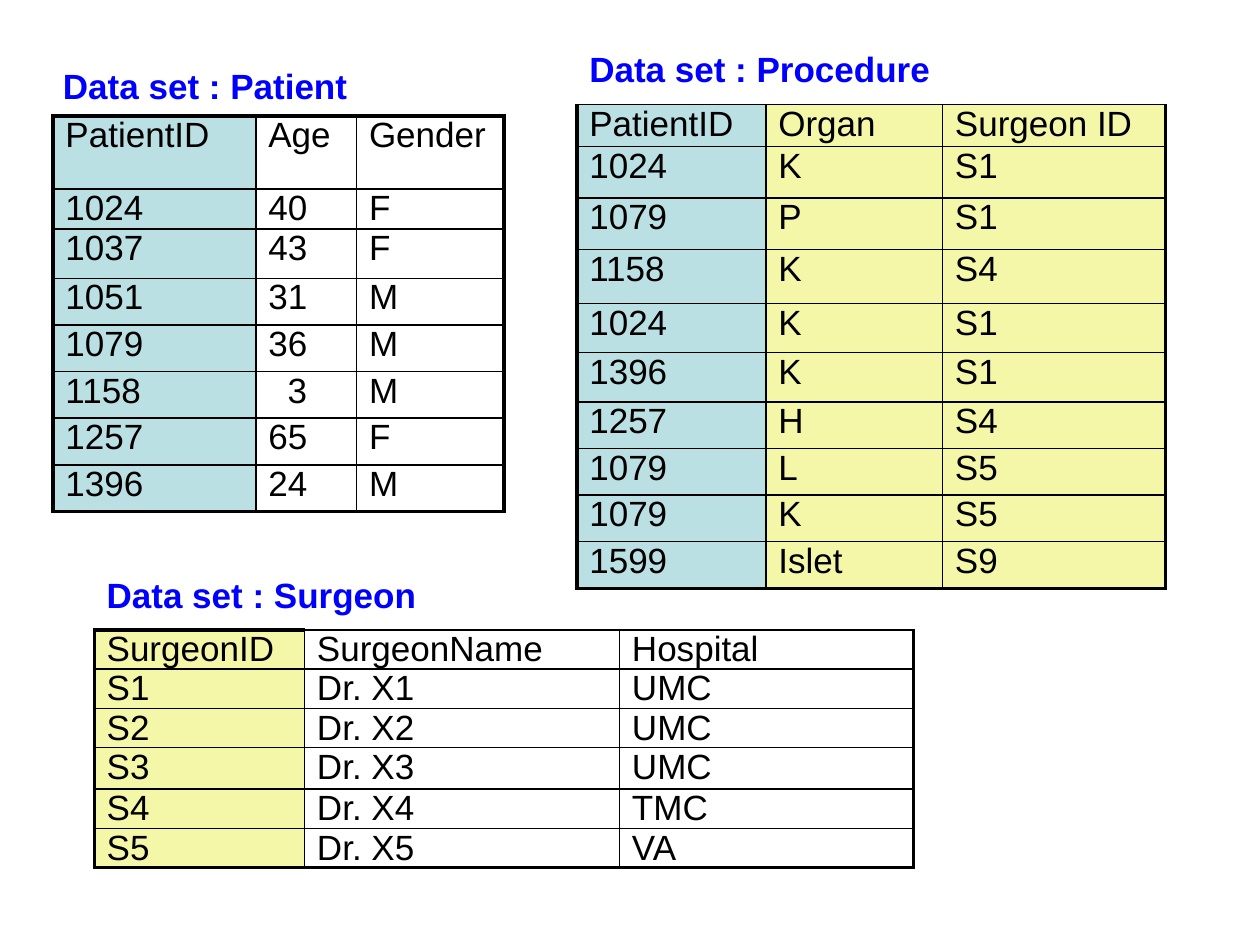
"""Build a slide with three related data set tables and their captions."""
from lxml import etree
from pptx import Presentation
from pptx.dml.color import RGBColor
from pptx.enum.text import MSO_AUTO_SIZE
from pptx.oxml.ns import qn
from pptx.util import Cm, Pt

FIT_SHAPE = MSO_AUTO_SIZE.SHAPE_TO_FIT_TEXT
BLACK, BLUE, TEAL, YELLOW = "000000", "0000FF", "BBE0E3", "F4F6A8"
THIN, THICK = 1, 2.25

PATIENTS = [
    ("PatientID", "Age", "Gender"),
    ("1024", "40", "F"),
    ("1037", "43", "F"),
    ("1051", "31", "M"),
    ("1079", "36", "M"),
    ("1158", "3", "M"),
    ("1257", "65", "F"),
    ("1396", "24", "M"),
]
PROCEDURES = [
    ("PatientID", "Organ", "Surgeon ID"),
    ("1024", "K", "S1"),
    ("1079", "P", "S1"),
    ("1158", "K", "S4"),
    ("1024", "K", "S1"),
    ("1396", "K", "S1"),
    ("1257", "H", "S4"),
    ("1079", "L", "S5"),
    ("1079", "K", "S5"),
    ("1599", "Islet", "S9"),
]
SURGEONS = [
    ("SurgeonID", "SurgeonName", "Hospital"),
    ("S1", "Dr. X1", "UMC"),
    ("S2", "Dr. X2", "UMC"),
    ("S3", "Dr. X3", "UMC"),
    ("S4", "Dr. X4", "TMC"),
    ("S5", "Dr. X5", "VA"),
]


def color(value):
    return RGBColor.from_string(value)


def write(frame, text, size=20, fill=BLACK, bold=False, font="Arial"):
    span = frame.paragraphs[0].add_run()
    span.text = text
    span.font.name = font
    span.font.size = Pt(size)
    span.font.bold = bold
    span.font.color.rgb = color(fill)


def set_borders(cell, widths):
    properties = cell._tc.get_or_add_tcPr()
    for index, (side, width) in enumerate(zip("LRTB", widths)):
        line = etree.Element(qn(f"a:ln{side}"), w=str(Pt(width)))
        solid = etree.SubElement(line, qn("a:solidFill"))
        etree.SubElement(solid, qn("a:srgbClr"), val=BLACK)
        properties.insert(index, line)


class DataSetPage:
    """Hold the style and the current slide."""

    def __init__(self, deck):
        self.page = deck.slides.add_slide(deck.slide_layouts[6])

    def caption(self, name, left, top, width):
        box = self.page.shapes.add_textbox(Cm(left), Cm(top), Cm(width), Cm(1.12))
        box.text_frame.word_wrap = False
        box.text_frame.auto_size = FIT_SHAPE
        write(box.text_frame, f"Data set : {name}", fill=BLUE, bold=True)

    def table(self, records, left, top, widths, heights, fills, thick_tops=0, indents=None):
        shape = self.page.shapes.add_table(
            len(records), len(widths), Cm(left), Cm(top), Cm(sum(widths)), Cm(sum(heights))
        )
        grid = shape.table
        grid.first_row = grid.horz_banding = False
        for column, width in zip(grid.columns, widths):
            column.width = Cm(width)
        for row, height in zip(grid.rows, heights):
            row.height = Cm(height)
        for r, record in enumerate(records):
            for c, text in enumerate(record):
                cell = grid.cell(r, c)
                indent = (indents or {}).get((r, c), 0)
                cell.margin_left, cell.margin_right = Cm(0.25 + indent), Cm(0.25)
                cell.margin_top = cell.margin_bottom = 0
                write(cell.text_frame, text)
                if fills[c]:
                    cell.fill.solid()
                    cell.fill.fore_color.rgb = color(fills[c])
                else:
                    cell.fill.background()
                thick = (
                    c == 0,
                    c == len(widths) - 1,
                    r == 0 and c < thick_tops,
                    r == len(records) - 1,
                )
                set_borders(cell, [THICK if edge else THIN for edge in thick])


def main():
    deck = Presentation()
    deck.slide_width, deck.slide_height = Cm(25.4), Cm(19.05)
    page = DataSetPage(deck)

    page.table(PROCEDURES, 11.63, 2.11, [3.81, 3.56, 4.5],
               [0.84, 1.04, 1.04, 1.09, 0.99, 0.99] + [0.94] * 4,
               [TEAL, YELLOW, YELLOW])
    page.table(PATIENTS, 1.07, 2.34, [4.09, 2.03, 2.97],
               [1.47, 0.81, 0.99] + [0.94] * 5,
               [TEAL, None, None], thick_tops=3, indents={(5, 1): 0.39})
    page.table(SURGEONS, 1.9, 12.7, [4.24, 6.35, 5.92],
               [0.79, 0.79, 0.79, 0.84, 0.79, 0.79],
               [YELLOW, None, None], thick_tops=1)

    page.caption("Patient", 1.02, 1.17, 6.27)
    page.caption("Procedure", 11.63, 0.84, 7.44)
    page.caption("Surgeon", 1.9, 11.43, 6.81)
    deck.save("out.pptx")


if __name__ == "__main__":
    main()
